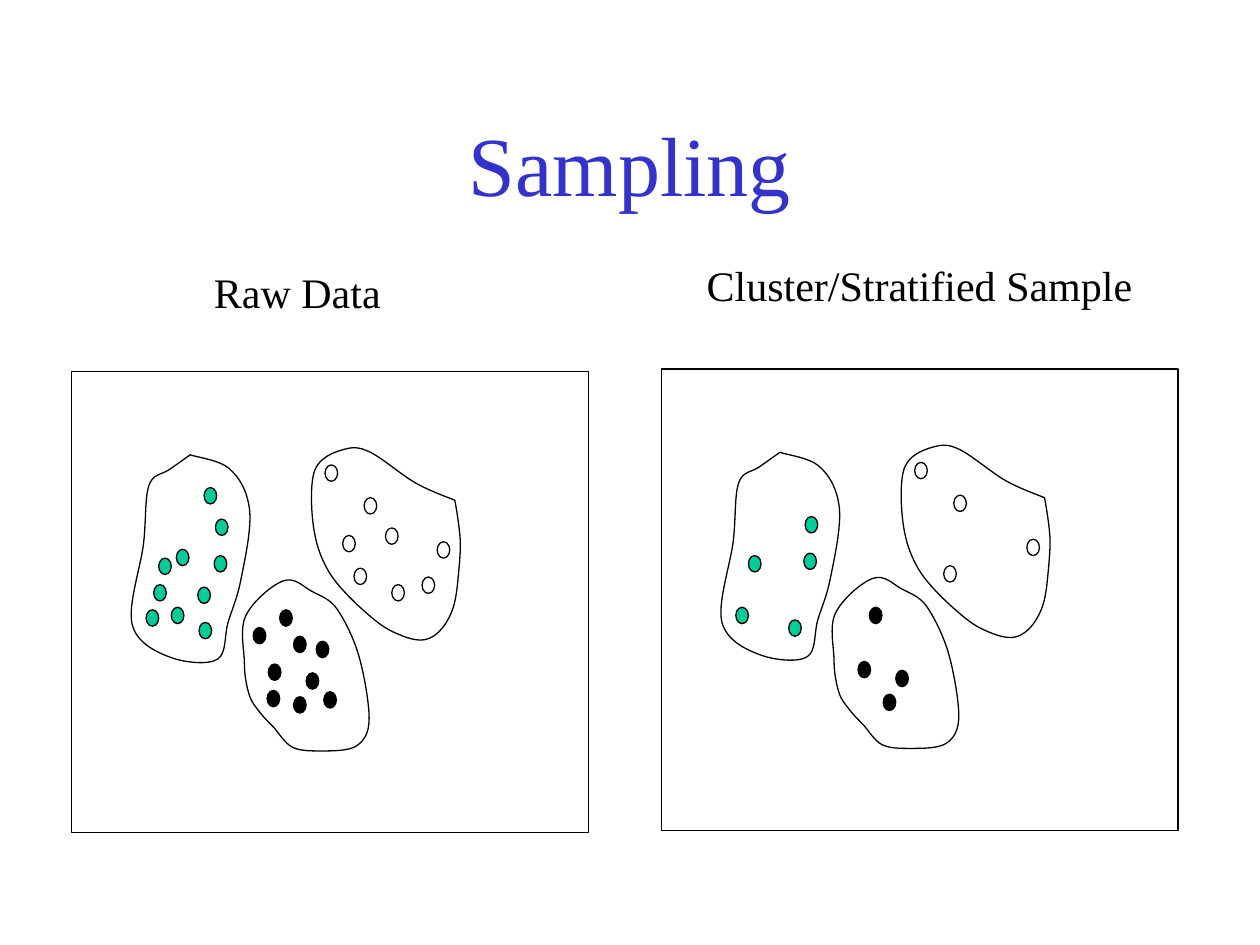
from collections import namedtuple

from pptx import Presentation
from pptx.dml.color import RGBColor
from pptx.enum.shapes import MSO_SHAPE
from pptx.enum.text import MSO_ANCHOR, MSO_AUTO_SIZE, PP_ALIGN
from pptx.oxml.ns import qn
from pptx.util import Pt

PX = 9144
FONT = "Times New Roman"
BLACK = RGBColor(0, 0, 0)
WHITE = RGBColor(255, 255, 255)
BLUE = RGBColor(0x33, 0x33, 0xCC)
GREEN = RGBColor(0, 0xCC, 0x99)
RECT = MSO_SHAPE.RECTANGLE
DOT = MSO_SHAPE.FLOWCHART_CONNECTOR
MIDDLE = MSO_ANCHOR.MIDDLE
TOP = MSO_ANCHOR.TOP
LEFT = PP_ALIGN.LEFT
CENTER = PP_ALIGN.CENTER
GROW = MSO_AUTO_SIZE.SHAPE_TO_FIT_TEXT

PANEL = (57, 295, 410, 366)
SAMPLE_SHIFT = (468, -2)

Cluster = namedtuple("Cluster", "color sampled others outline")

CLUSTERS = [
    Cluster(
        WHITE,
        [(289, 395), (281, 451), (347, 430), (258, 369)],
        [(306, 419), (272, 425), (335, 458), (311, 464)],
        [(361, 397), (365, 424), (364, 455), (358, 487), (340, 507),
         (313, 502), (288, 484), (260, 452), (249, 419), (250, 373),
         (272, 357), (294, 359), (331, 384)]),
    Cluster(
        BLACK,
        [(233, 553), (243, 534), (213, 527), (222, 484)],
        [(201, 498), (251, 509), (212, 548), (233, 505), (257, 549)],
        [(217, 577), (206, 565), (198, 552), (194, 526), (195, 489),
         (225, 461), (247, 469), (268, 484), (285, 521), (293, 570),
         (283, 592), (255, 596), (232, 593)]),
    Cluster(
        GREEN,
        [(116, 484), (126, 443), (158, 494), (170, 441), (171, 412)],
        [(136, 482), (122, 464), (157, 466), (140, 436), (162, 387)],
        [(151, 361), (182, 372), (198, 404), (191, 461), (181, 494),
         (173, 523), (136, 522), (105, 496), (114, 431), (118, 386),
         (134, 373)]),
]


def px(*lengths):
    """Turn px lengths into EMU."""
    return [length * PX for length in lengths]


def write(tf, text, size=24, color=BLACK, align=LEFT, anchor=TOP):
    """Fill a text frame with one formatted line."""
    tf.vertical_anchor = anchor
    p = tf.paragraphs[0]
    p.alignment = align
    r = p.add_run()
    r.text = text
    r.font.name, r.font.size = FONT, Pt(size)
    r.font.color.rgb = color


def add_label(s, text, box):
    """Add a one-line text box that grows with its text."""
    tf = s.shapes.add_textbox(*px(*box)).text_frame
    tf.word_wrap = False
    tf.auto_size = GROW
    write(tf, text)


def style(sp, fill=None):
    """Give a shape a thin black line and a plain or empty fill."""
    sp.shadow.inherit = False
    sp.line.color.rgb = BLACK
    sp.line.width = Pt(0.75)
    if fill is None:
        sp.fill.background()
    else:
        sp.fill.solid()
        sp.fill.fore_color.rgb = fill


def add_preset(shapes, kind, box, fill=None):
    """Add a styled preset shape."""
    style(shapes.add_shape(kind, *px(*box)), fill)


def smooth_curves(points):
    """List two controls and an end for each curve, with a corner at the start."""
    ring = points + points[:1]
    befores, afters = ring[:1] + ring[:-1], ring[1:] + ring[-1:]
    tangents = [((c - a) / 6, (d - b) / 6)
                for (a, b), (c, d) in zip(befores, afters)]
    curves = []
    for i, (x, y) in enumerate(ring[:-1]):
        end_x, end_y = ring[i + 1]
        (dx, dy), (end_dx, end_dy) = tangents[i:i + 2]
        curves += [(round(x + dx), round(y + dy)),
                   (round(end_x - end_dx), round(end_y - end_dy)),
                   (end_x, end_y)]
    return curves


def add_outline(shapes, points):
    """Add a closed outline of cubic curves through the points."""
    builder = shapes.build_freeform(*points[0], scale=PX)
    builder.add_line_segments(smooth_curves(points), close=True)
    sp = builder.convert_to_shape()
    segments = list(sp._element.iter(qn("a:lnTo")))
    for curve, control, end in zip(*[iter(segments)] * 3):
        curve.tag = qn("a:cubicBezTo")
        for segment in (control, end):
            curve.append(segment[0])
            segment.getparent().remove(segment)
    style(sp)


def add_clusters(shapes, shift=(0, 0), sampled_only=False):
    """Add each cluster's outline and dots, moved by a shift."""
    dx, dy = shift
    for cluster in CLUSTERS:
        add_outline(shapes, [(x + dx, y + dy) for x, y in cluster.outline])
        dots = cluster.sampled + ([] if sampled_only else cluster.others)
        for x, y in dots:
            add_preset(shapes, DOT, (x + dx, y + dy, 10, 13), cluster.color)


def main():
    """Build the slide and save it."""
    prs = Presentation()
    prs.slide_width, prs.slide_height = px(1000, 750)
    s = prs.slides.add_slide(prs.slide_layouts[5])

    title = s.shapes.title
    title.left, title.top, title.width, title.height = px(75, 67, 850, 125)
    write(title.text_frame, "Sampling", size=48, color=BLUE,
          align=CENTER, anchor=MIDDLE)

    raw = s.shapes.add_group_shape().shapes
    add_preset(raw, RECT, PANEL)
    add_clusters(raw)

    x, y, width, height = PANEL
    dx, dy = SAMPLE_SHIFT
    add_preset(s.shapes, RECT, (x + dx, y + dy, width, height))
    sample = s.shapes.add_group_shape().shapes
    add_clusters(sample, SAMPLE_SHIFT, sampled_only=True)

    add_label(s, "Raw Data", (160, 207, 160, 50))
    add_label(s, "Cluster/Stratified Sample", (551, 201, 358, 50))
    prs.save("out.pptx")


if __name__ == "__main__":
    main()
